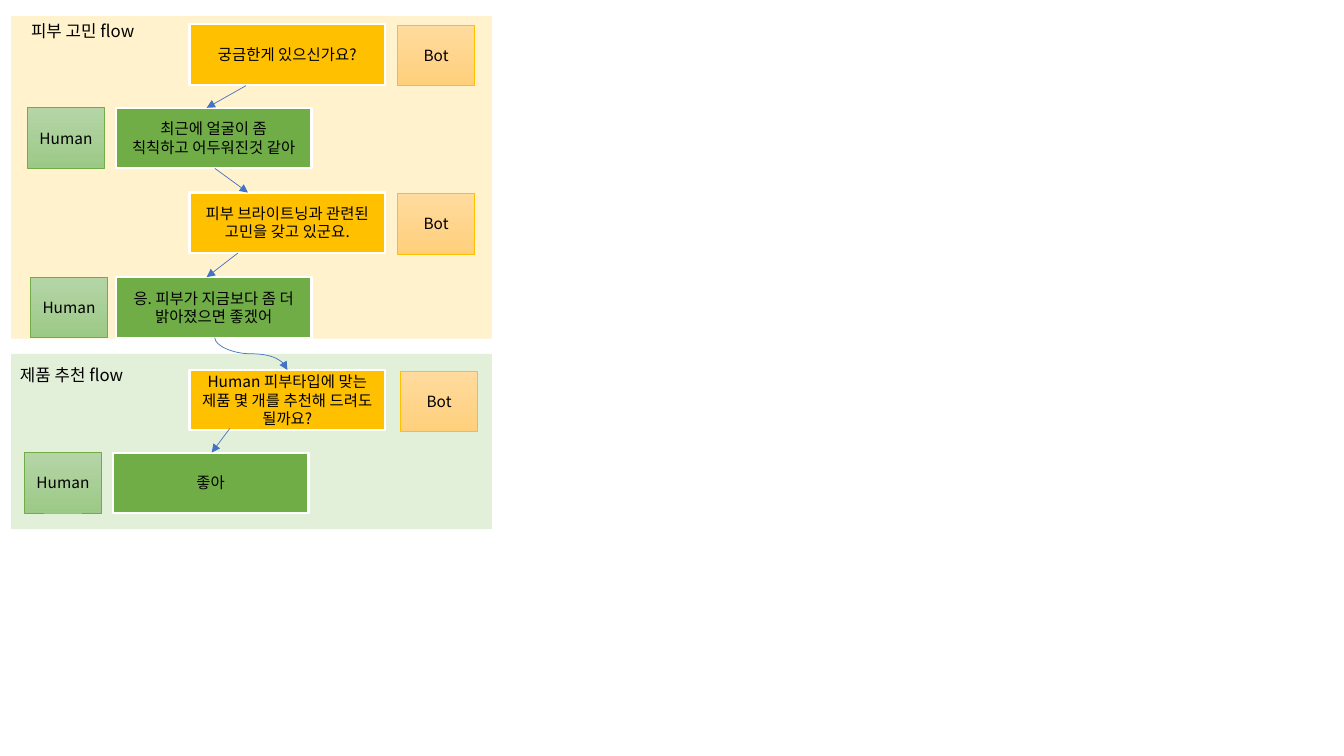
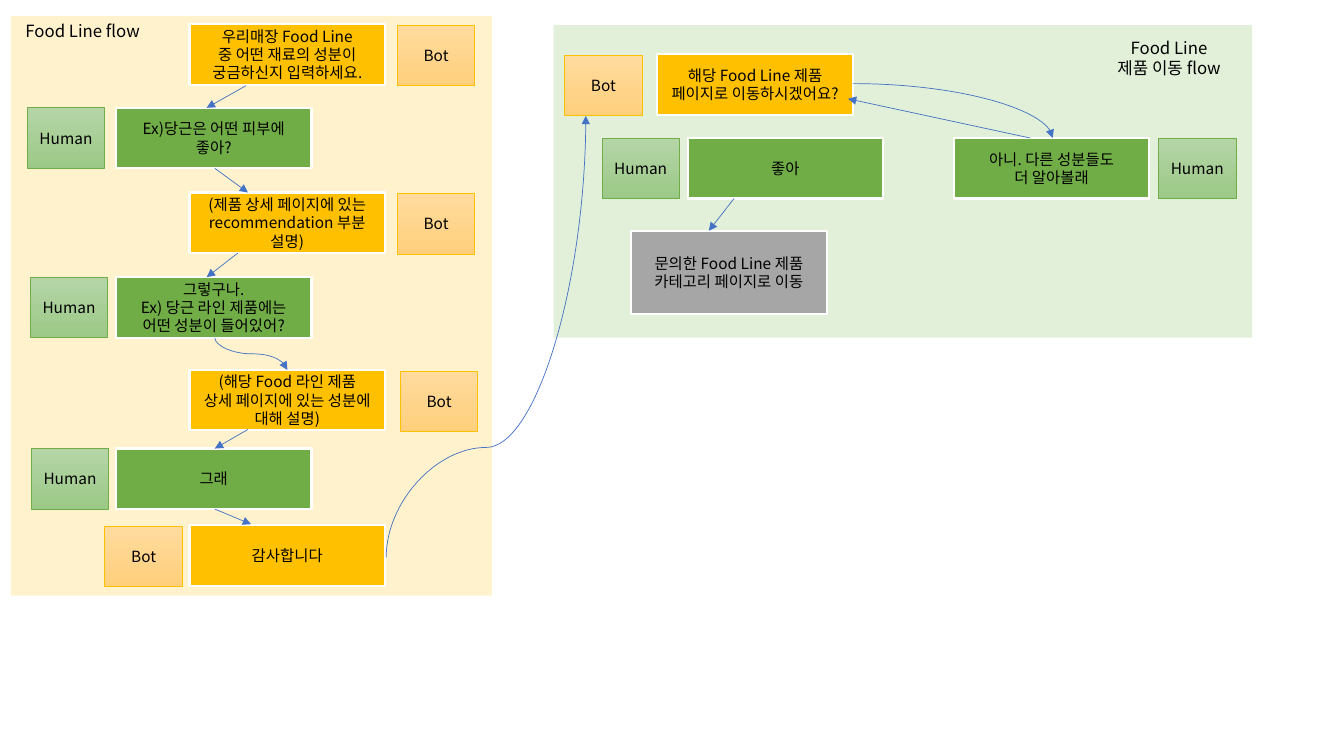
from lxml import etree
from pptx import Presentation
from pptx import util as u
from pptx.dml.color import RGBColor
from pptx.enum import shapes, text
from pptx.oxml.ns import qn

FONT = "Noto Sans CJK KR"
CREAM, MINT, BLUE, WHITE, BLACK = "FFF2CC", "E2F0D9", "4472C4", "FFFFFF", "000000"
AMBER, GREEN, GRAY = "FFC000", "70AD47", "A6A6A6"
BOX_W, BADGE_W, BOX_H = 1.94, 0.77, 0.6
BOT_X, HUMAN_X = 1.88, 1.15
ROWS = [0.24, 1.07, 1.91, 2.75, 3.67]
# speaker: box fill, badge gradient from top to bottom, badge drop below the box top
SPEAKERS = {"Bot": (AMBER, ("FFDB9E", "FFD07C"), 0.01),
            "Human": (GREEN, ("B5D5A7", "9CC987"), 0)}

# Left column of both slides: speaker, box left, box top, badge left
SHARED_STEPS = [
    ("Bot", BOT_X, ROWS[0], 3.94),
    ("Human", HUMAN_X, ROWS[1], 0.27),
    ("Bot", BOT_X, ROWS[2], 3.94),
    ("Human", HUMAN_X, ROWS[3], 0.3),
    ("Bot", BOT_X, ROWS[4], 3.97),
]
# Arrows: kind, start, end
SHARED_ARROWS = [
    ("line", 2.44, 0.85, 2.05, 1.07),
    ("line", 2.13, 1.67, 2.46, 1.91),
    ("line", 2.36, 2.51, 2.05, 2.75),
    ("down", 2.13, 3.35, 2.85, 3.67),
]

SLIDES = [
    {
        "panels": [(0.11, 3.51, 4.77, 1.74, MINT), (0.11, 0.16, 4.77, 3.2, CREAM)],
        "captions": [(0.11, 0.16, 1.42, 0.3, "피부 고민 flow"),
                     (0, 3.57, 1.42, 0.3, "제품 추천 flow")],
        "steps": [("Human", 1.12, 4.49, 0.24)],
        "words": ["궁금한게 있으신가요?",
                  "최근에 얼굴이 좀\n칙칙하고 어두워진것 같아",
                  "피부 브라이트닝과 관련된 고민을 갖고 있군요.",
                  "응. 피부가 지금보다 좀 더 밝아졌으면 좋겠어",
                  "Human 피부타입에 맞는 제품 몇 개를 추천해 드려도 될까요?",
                  "좋아"],
        "results": [],
        "arrows": [("line", 2.28, 4.25, 2.1, 4.49)],
    },
    {
        "panels": [(5.49, 0.25, 6.93, 3.1, MINT), (0.11, 0.16, 4.77, 5.75, CREAM)],
        "captions": [(0.11, 0.16, 1.42, 0.3, "Food Line flow"),
                     (10.93, 0.33, 1.33, 0.5, "Food Line\n제품 이동 flow")],
        "steps": [("Human", HUMAN_X, 4.45, 0.31),
                  ("Bot", BOT_X, 5.21, 1.04),
                  ("Bot", 6.52, 0.54, 5.6),
                  ("Human", 6.82, 1.37, 5.97),
                  ("Human", 9.46, 1.37, 11.49)],
        "words": ["우리매장 Food Line\n중 어떤 재료의 성분이\n궁금하신지 입력하세요.",
                  "Ex)당근은 어떤 피부에\n좋아?",
                  "(제품 상세 페이지에 있는recommendation 부분 설명)",
                  "그렇구나.\nEx) 당근 라인 제품에는\n어떤 성분이 들어있어?",
                  "(해당 Food 라인 제품\n상세 페이지에 있는 성분에 대해 설명)",
                  "그래",
                  "감사합니다",
                  "해당 Food Line 제품\n페이지로 이동하시겠어요?",
                  "좋아",
                  "아니. 다른 성분들도\n더 알아볼래"],
        "results": [(6.26, 2.29, BOX_W, 0.83, GRAY,
                     "문의한 Food Line 제품\n카테고리 페이지로 이동")],
        "arrows": [("line", 2.46, 4.26, 2.13, 4.45),
                   ("line", 2.13, 5.05, 2.49, 5.2),
                   ("quarter", 8.46, 0.83, 10.44, 1.37),
                   ("line", 10.22, 1.37, 8.41, 0.98),
                   ("up", 3.83, 5.53, 5.81, 1.15),
                   ("line", 7.28, 1.97, 7.03, 2.29)],
    },
]
# Vertical curves are horizontal ones turned about their middle
TURNS = {"down": {"rot": "16200000", "flipH": "1"},
         "up": {"rot": "5400000", "flipH": "1", "flipV": "1"}}


def add_box(sl, x, y, w, h, fill=None, words="", line=None, size=11):
    """Add a rectangle, or a text box if fill is None; a pair of fills is a gradient."""
    at = [u.Inches(v) for v in (x, y, w, h)]
    if fill is None:
        sp = sl.shapes.add_textbox(*at)
    else:
        sp = sl.shapes.add_shape(shapes.MSO_SHAPE.RECTANGLE, *at)
        sp.shadow.inherit = False
        if isinstance(fill, tuple):
            sp.fill.gradient()
            sp.fill.gradient_angle = 270
            for stop, color in zip(sp.fill.gradient_stops, fill):
                stop.color.rgb = RGBColor.from_string(color)
        else:
            sp.fill.solid()
            sp.fill.fore_color.rgb = RGBColor.from_string(fill)
        if line:
            sp.line.color.rgb = RGBColor.from_string(line[0])
            sp.line.width = u.Pt(line[1])
        else:
            sp.line.fill.background()
    if words:
        tf = sp.text_frame
        tf.word_wrap = True
        tf.vertical_anchor = text.MSO_ANCHOR.TOP if fill is None else text.MSO_ANCHOR.MIDDLE
        tf.text = words
        for p in tf.paragraphs:
            p.alignment = text.PP_ALIGN.CENTER
            p.line_spacing = u.Pt(round(size * 1.19, 1))
            p.font.size = u.Pt(size)
            p.font.color.rgb = RGBColor.from_string(BLACK)
            p.font.name = FONT
            etree.SubElement(p._p.pPr.find(qn("a:defRPr")), qn("a:ea"), typeface=FONT)


def add_arrow(sl, kind, x1, y1, x2, y2):
    style = shapes.MSO_CONNECTOR.STRAIGHT if kind == "line" else shapes.MSO_CONNECTOR.CURVE
    if kind in TURNS:
        cx, cy = (x1 + x2) / 2, (y1 + y2) / 2
        w, h = abs(y2 - y1), abs(x2 - x1)
        x1, y1, x2, y2 = cx - w / 2, cy - h / 2, cx + w / 2, cy + h / 2
    c = sl.shapes.add_connector(style, *[u.Inches(v) for v in (x1, y1, x2, y2)])
    c.line.color.rgb = RGBColor.from_string(BLUE)
    c.line.width = u.Pt(0.5)
    props = c._element.spPr
    for name, value in TURNS.get(kind, {}).items():
        props.find(qn("a:xfrm")).set(name, value)
    geom = props.find(qn("a:prstGeom"))
    if kind == "quarter":
        geom.set("prst", "curvedConnector2")
    if kind == "up":
        etree.SubElement(geom.find(qn("a:avLst")), qn("a:gd"), name="adj1", fmla="val 24900")
    etree.SubElement(props.find(qn("a:ln")), qn("a:tailEnd"), type="triangle")
    etree.SubElement(props, qn("a:effectLst"))


prs = Presentation()
prs.slide_width, prs.slide_height = u.Inches(13.33), u.Inches(7.5)
blank = prs.slide_layouts[6]

for flow in SLIDES:
    sl = prs.slides.add_slide(blank)
    for panel in flow["panels"]:
        add_box(sl, *panel)
    for x, y, w, h, words in flow["captions"]:
        add_box(sl, x, y, w, h, words=words, size=12)
    for (who, x, y, badge_x), words in zip(SHARED_STEPS + flow["steps"], flow["words"]):
        fill, gradient, drop = SPEAKERS[who]
        add_box(sl, x, y, BOX_W, BOX_H, fill, words, (WHITE, 1.5))
        add_box(sl, badge_x, y + drop, BADGE_W, BOX_H, gradient, who, (fill, 0.5))
    for result in flow["results"]:
        add_box(sl, *result, (WHITE, 1.5))
    for arrow in SHARED_ARROWS + flow["arrows"]:
        add_arrow(sl, *arrow)

prs.save("out.pptx")
